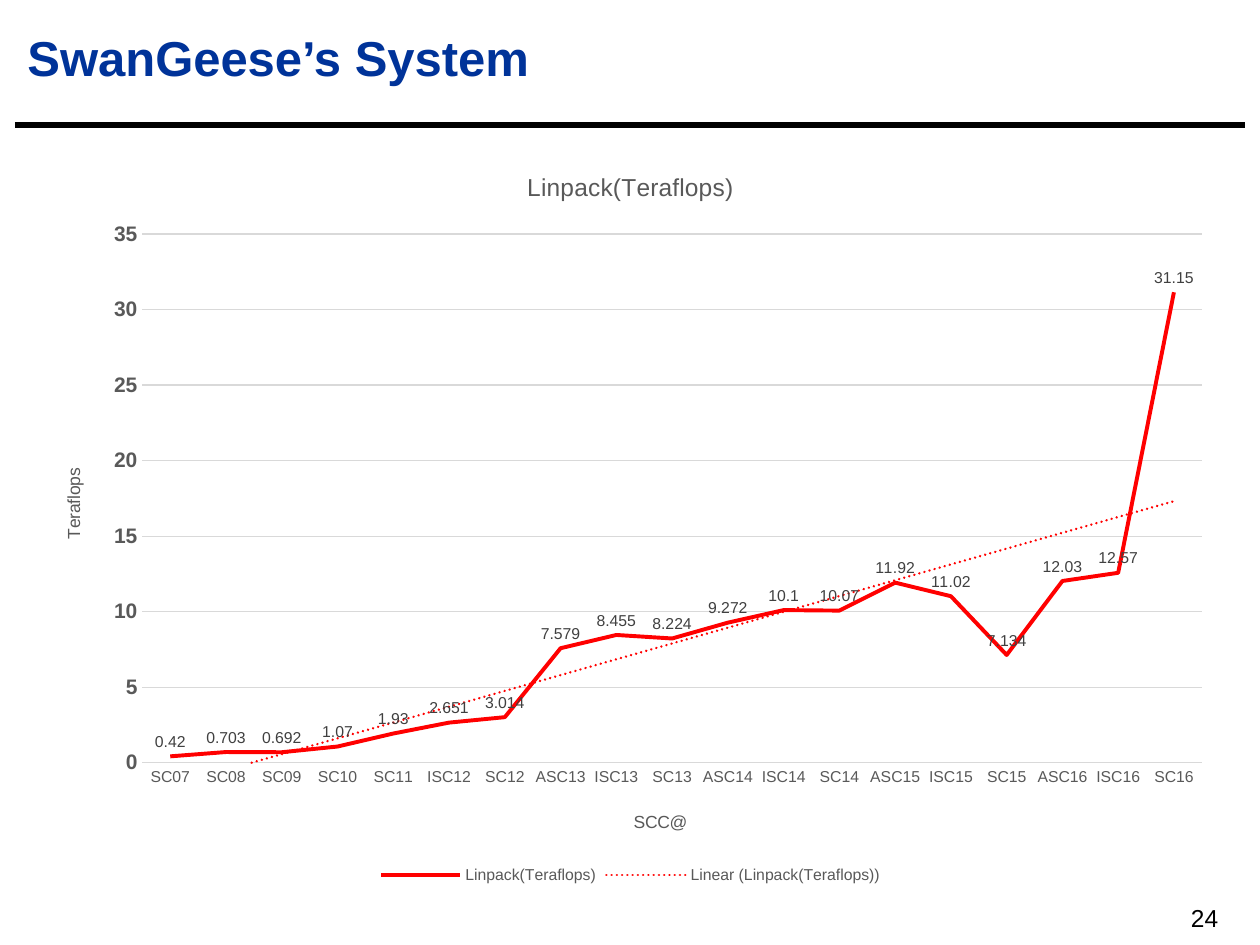
"""Build the slide with the Linpack history of the SwanGeese system."""
from lxml import etree
from pptx import Presentation
from pptx.chart.data import CategoryChartData
from pptx.dml.color import RGBColor
from pptx.enum.chart import (XL_CHART_TYPE, XL_LABEL_POSITION, XL_LEGEND_POSITION,
                             XL_MARKER_STYLE, XL_TICK_MARK)
from pptx.enum.shapes import MSO_CONNECTOR
from pptx.enum.text import MSO_ANCHOR, PP_ALIGN
from pptx.oxml import parse_xml
from pptx.oxml.ns import nsdecls, qn
from pptx.util import Cm, Pt

LINE_CHART = XL_CHART_TYPE.LINE
ABOVE = XL_LABEL_POSITION.ABOVE
BOTTOM = XL_LEGEND_POSITION.BOTTOM
NO_MARKER = XL_MARKER_STYLE.NONE
NO_TICK = XL_TICK_MARK.NONE
STRAIGHT = MSO_CONNECTOR.STRAIGHT
MIDDLE = MSO_ANCHOR.MIDDLE
LEFT, RIGHT = PP_ALIGN.LEFT, PP_ALIGN.RIGHT

BLACK = RGBColor(0x00, 0x00, 0x00)
NAVY = RGBColor(0x00, 0x33, 0x99)
RED = RGBColor(0xFF, 0x00, 0x00)
GREY = RGBColor(0x59, 0x59, 0x59)
DARK_GREY = RGBColor(0x40, 0x40, 0x40)
LIGHT_GREY = RGBColor(0xD9, 0xD9, 0xD9)
FONT = "Arial"

RESULTS = {
    "SC07": 0.42, "SC08": 0.703, "SC09": 0.692, "SC10": 1.07, "SC11": 1.93,
    "ISC12": 2.651, "SC12": 3.014, "ASC13": 7.579, "ISC13": 8.455, "SC13": 8.224,
    "ASC14": 9.272, "ISC14": 10.1, "SC14": 10.07, "ASC15": 11.92, "ISC15": 11.02,
    "SC15": 7.134, "ASC16": 12.03, "ISC16": 12.57, "SC16": 31.15,
}


def style_font(font, size, color, bold=False):
    """Set the face, size, colour and weight of a font."""
    font.name = FONT
    font.size = Pt(size)
    font.bold = bold
    font.color.rgb = color


def write_text(tf, text, size, color, bold=False, align=None):
    """Write one run into the first paragraph of a text frame."""
    p = tf.paragraphs[0]
    p.alignment = align
    r = p.add_run()
    r.text = text
    style_font(r.font, size, color, bold)


def add_title(s, text):
    """Place and format the title placeholder."""
    sp = s.shapes.title
    sp.left, sp.top, sp.width, sp.height = Cm(0.3), Cm(0), Cm(24.8), Cm(2.31)
    sp.text_frame.vertical_anchor = MIDDLE
    write_text(sp.text_frame, text, 28, NAVY, True, LEFT)


def add_rule(s):
    """Draw the thick rule under the title."""
    line = s.shapes.add_connector(STRAIGHT, Cm(0.3), Cm(2.52), Cm(25.1), Cm(2.52))
    line.line.color.rgb = BLACK
    line.line.width = Pt(3.75)
    etree.SubElement(line._element.spPr, qn("a:effectLst"))


def add_page_number(s, number):
    """Write the page number at the bottom right."""
    sp = s.shapes.add_textbox(Cm(20.7), Cm(18.16), Cm(3.86), Cm(0.69))
    tf = sp.text_frame
    tf.word_wrap = True
    tf.margin_left = tf.margin_right = tf.margin_top = tf.margin_bottom = 0
    tf.vertical_anchor = MIDDLE
    write_text(tf, number, 14, BLACK, align=RIGHT)


def set_layout(element, index, **fractions):
    """Give a chart part a manual position in fractions of the chart."""
    for old in element.findall(qn("c:layout")):
        element.remove(old)
    layout = etree.Element(qn("c:layout"))
    manual = etree.SubElement(layout, qn("c:manualLayout"))
    if "w" in fractions:
        etree.SubElement(manual, qn("c:layoutTarget")).set("val", "inner")
    for side in "xy":
        etree.SubElement(manual, qn(f"c:{side}Mode")).set("val", "edge")
    for key, value in fractions.items():
        etree.SubElement(manual, qn(f"c:{key}")).set("val", str(value))
    element.insert(index, layout)


def format_axis(axis, title, size, bold, x, y):
    """Format the labels of an axis and place its title."""
    axis.major_tick_mark = axis.minor_tick_mark = NO_TICK
    style_font(axis.tick_labels.font, size, GREY, bold)
    write_text(axis.axis_title.text_frame, title, 10, GREY)
    set_layout(axis.axis_title._element, 1, x=x, y=y)


def add_trend_line(series):
    """Add a dotted linear trend line to a series."""
    trend = parse_xml(
        f'<c:trendline {nsdecls("c", "a")}><c:spPr><a:ln w="{Pt(1.5)}" cap="rnd">'
        f'<a:solidFill><a:srgbClr val="{RED}"/></a:solidFill>'
        '<a:prstDash val="sysDot"/></a:ln></c:spPr><c:trendlineType val="linear"/>'
        '<c:dispRSqr val="0"/><c:dispEq val="0"/></c:trendline>')
    series._element.find(qn("c:cat")).addprevious(trend)


def format_series(series):
    """Set the line, value labels and trend line of the series."""
    series.smooth = False
    series.marker.style = NO_MARKER
    series.format.line.color.rgb = RED
    series.format.line.width = Pt(2.25)
    labels = series.data_labels
    labels.show_value = True
    labels.position = ABOVE
    style_font(labels.font, 9, DARK_GREY)
    add_trend_line(series)


def add_linpack_chart(s):
    """Add the line chart of Linpack results."""
    data = CategoryChartData()
    data.categories = list(RESULTS)
    data.add_series("Linpack(Teraflops)", list(RESULTS.values()))
    frame = s.shapes.add_chart(LINE_CHART, Cm(0.71), Cm(2.92), Cm(24), Cm(15.01), data)
    chart = frame.chart
    style_font(chart.font, 10, BLACK)
    write_text(chart.chart_title.text_frame, "Linpack(Teraflops)", 14, GREY)
    chart.chart_title.include_in_layout = False

    chart.has_legend = True
    chart.legend.position = BOTTOM
    chart.legend.include_in_layout = False
    style_font(chart.legend.font, 9, GREY)

    cat_axis, val_axis = chart.category_axis, chart.value_axis
    format_axis(cat_axis, "SCC@", 9, False, 0.5, 0.89)
    cat_axis.format.line.color.rgb = LIGHT_GREY
    cat_axis.format.line.width = Pt(0.75)
    format_axis(val_axis, "Teraflops", 12, True, 0.02, 0.43)
    val_axis.axis_title.text_frame._txBody.bodyPr.set("rot", "-5400000")
    val_axis.minimum_scale, val_axis.maximum_scale, val_axis.major_unit = 0, 35, 5
    val_axis.format.line.fill.background()
    val_axis.major_gridlines.format.line.color.rgb = LIGHT_GREY
    val_axis.major_gridlines.format.line.width = Pt(0.75)

    plot = chart.plots[0]
    plot.vary_by_categories = False
    format_series(plot.series[0])
    set_layout(plot._element.getparent(), 0, x=0.09, y=0.12, w=0.89, h=0.71)


def main():
    """Build and save the slide."""
    prs = Presentation()
    prs.slide_width, prs.slide_height = Cm(25.4), Cm(19.05)
    s = prs.slides.add_slide(prs.slide_layouts[5])
    add_rule(s)
    add_page_number(s, "24")
    add_linpack_chart(s)
    add_title(s, "SwanGeese’s System")
    prs.save("out.pptx")


if __name__ == "__main__":
    main()
